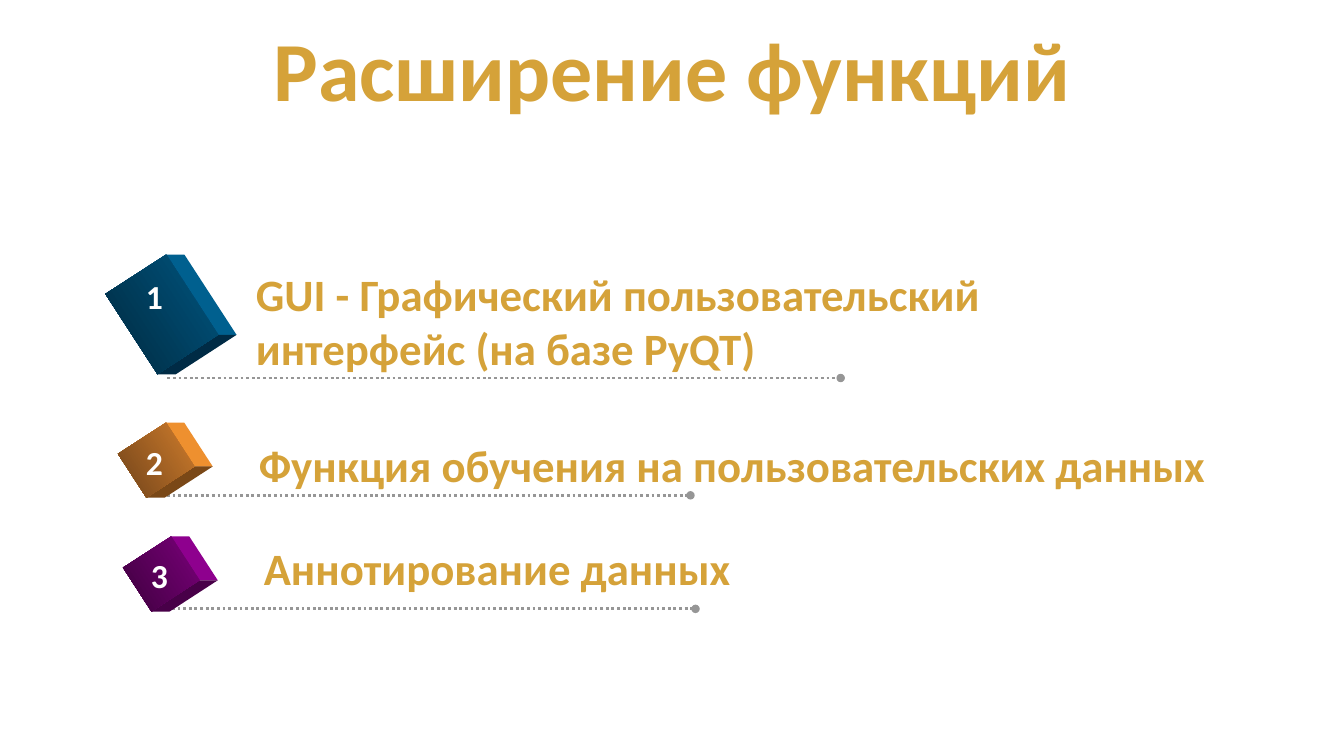
from math import cos, radians, sin

from lxml.etree import SubElement
from pptx import Presentation
from pptx.dml.color import RGBColor as Color
from pptx.enum.dml import MSO_LINE_DASH_STYLE as Dash
from pptx.enum.shapes import MSO_CONNECTOR as Connector, MSO_SHAPE as Shape
from pptx.enum.text import MSO_ANCHOR as Anchor, MSO_AUTO_SIZE as AutoSize, PP_ALIGN as Align
from pptx.oxml.ns import qn
from pptx.util import Pt

COLORS = {
    "gold": "D5A239",
    "white": "FFFFFF",
    "gray": "969696",
}
CUBES = {
    "blue": {"side": "00608F", "front": "00557F", "shade": "002A40", "base": "002B45"},
    "orange": {"side": "EE902F", "front": "D07D2C", "shade": "70431A", "base": "7A4817"},
    "purple": {"side": "8E008E", "front": "7A007A", "shade": "3E003E", "base": "480048"},
}
ROWS = [
    {
        "cube": ("blue", 81.4, 198.7, 68.4, 51.8),
        "line": (119.5, 270, 481),
        "heading": (175.7, 187.2, 544.3, 113.8),
        "number": (97.2, 193.7, 33.8, 66.2),
        "lines": ["GUI - Графический пользовательский", "интерфейс (на базе PyQT)"],
    },
    {
        "cube": ("orange", 92.9, 308.2, 37.4, 41),
        "line": (115.2, 353.8, 378),
        "heading": (177.8, 308.9, 697.7, 46),
        "number": (97.2, 311.8, 26.6, 36.7),
        "lines": ["Функция обучения на пользовательских данных"],
    },
    {
        "cube": ("purple", 96.5, 389.5, 37.4, 41),
        "line": (118.8, 434.9, 378),
        "heading": (181.4, 383, 351.4, 46),
        "number": (100.8, 393.1, 26.6, 36.7),
        "lines": ["Аннотирование данных"],
    },
]


class SlideBuilder:
    font = "Calibri"
    tilt = 57
    depth = 13

    def __init__(self, page):
        self.page = page
        self.shapes = page.shapes

    def start_group(self):
        self.shapes = self.page.shapes.add_group_shape().shapes

    def style(self, para, size, color):
        for span in para.runs:
            span.font.name = self.font
            span.font.size = Pt(size)
            span.font.bold = True
            span.font.color.rgb = Color.from_string(COLORS[color])

    def title(self, text, left, top, width, height):
        box = self.page.shapes.title
        box.left, box.top, box.width, box.height = map(Pt, (left, top, width, height))
        frame = box.text_frame
        frame.text = text
        frame.vertical_anchor = Anchor.MIDDLE
        frame.auto_size = AutoSize.NONE
        para = frame.paragraphs[0]
        para.alignment = Align.CENTER
        para.line_spacing = 0.9
        self.style(para, 60, "gold")

    def text(self, lines, bounds, size, color):
        frame = self.shapes.add_textbox(*map(Pt, bounds)).text_frame
        frame.text = "\n".join(lines)
        frame.word_wrap = False
        frame.auto_size = AutoSize.SHAPE_TO_FIT_TEXT
        for para in frame.paragraphs:
            para.alignment = Align.LEFT
            self.style(para, size, color)

    def dotted_line(self, left, top, length):
        line = self.shapes.add_connector(
            Connector.STRAIGHT, Pt(left), Pt(top), Pt(left + length), Pt(top))
        line.line.color.rgb = Color.from_string(COLORS["gray"])
        line.line.width = Pt(2)
        line.line.dash_style = Dash.ROUND_DOT
        SubElement(line.line._get_or_add_ln(), qn("a:tailEnd"), type="oval")
        SubElement(line._element.spPr, qn("a:effectLst"))

    def face(self, points, color):
        corners = [(Pt(x), Pt(y)) for x, y in points]
        builder = self.shapes.build_freeform(*corners[0])
        builder.add_line_segments(corners[1:], close=True)
        face = builder.convert_to_shape()
        face.shadow.inherit = False
        face.fill.solid()
        face.fill.fore_color.rgb = Color.from_string(color)
        face.line.fill.background()

    def cube(self, name, left, top, width, height):
        palette = CUBES[name]
        cosine, sine = cos(radians(self.tilt)), sin(radians(self.tilt))

        def corner(across, down):
            x, y = across * width / 2, down * height / 2
            return (left + width / 2 + x * cosine - y * sine,
                    top + height / 2 + x * sine + y * cosine)

        def side(start, end):
            back = [(x + self.depth, y) for x, y in (end, start)]
            return [start, end, *back]

        peak, right, bottom = corner(-1, -1), corner(1, -1), corner(1, 1)
        self.face(side(peak, right), palette["side"])
        self.face(side(right, bottom), palette["base"])
        front = self.shapes.add_shape(Shape.RECTANGLE, *map(Pt, (left, top, width, height)))
        front.rotation = self.tilt
        front.shadow.inherit = False
        front.line.fill.background()
        front.fill.gradient()
        front.fill.gradient_angle = 270
        for stop, key in zip(front.fill.gradient_stops, ("front", "shade")):
            stop.color.rgb = Color.from_string(palette[key])


def main():
    deck = Presentation()
    deck.slide_width, deck.slide_height = Pt(960), Pt(540)
    builder = SlideBuilder(deck.slides.add_slide(deck.slide_layouts[5]))
    builder.title("Расширение функций", 66, 32.4, 828, 41.8)
    for number, row in enumerate(ROWS, 1):
        builder.start_group()
        builder.dotted_line(*row["line"])
        builder.cube(*row["cube"])
        builder.text(row["lines"], row["heading"], 32, "gold")
        builder.text([str(number)], row["number"], 24, "white")
    deck.save("out.pptx")


if __name__ == "__main__":
    main()
